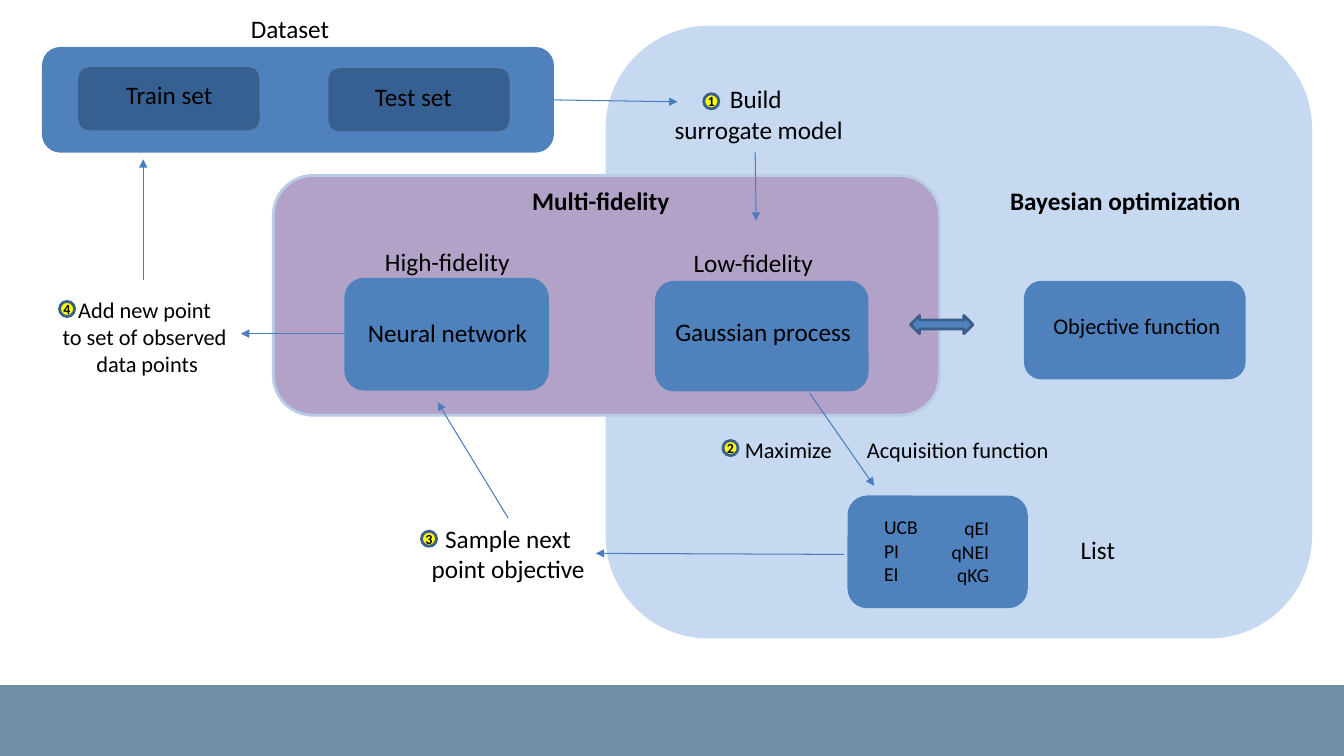
from lxml import etree
from pptx import Presentation
from pptx.dml.color import RGBColor
from pptx.enum.shapes import MSO_CONNECTOR, MSO_SHAPE
from pptx.enum.text import PP_ALIGN
from pptx.oxml.ns import qn
from pptx.util import Inches, Pt

ROUNDED = MSO_SHAPE.ROUNDED_RECTANGLE
RECTANGLE = MSO_SHAPE.RECTANGLE
CIRCLE = MSO_SHAPE.FLOWCHART_CONNECTOR
DOUBLE_ARROW = MSO_SHAPE.LEFT_RIGHT_ARROW
STRAIGHT = MSO_CONNECTOR.STRAIGHT
LEFT, CENTER, RIGHT = PP_ALIGN.LEFT, PP_ALIGN.CENTER, PP_ALIGN.RIGHT

BLUE = "4F81BD"
DARK_BLUE = "376092"
OUTLINE = "3A5F8C"
ARROW = "4B7EBC"
PALE_BLUE = "C6D9F1"
PURPLE = "B3A2C7"
PURPLE_EDGE = "B9CDE5"
YELLOW = "FFFF00"
FOOTER = "718FA4"
BLACK = "000000"


def color(value):
    return RGBColor.from_string(value)


def write_text(frame, text, size=18, bold=False, align=LEFT, font="Calibri"):
    for index, line in enumerate(text.split("\n")):
        paragraph = frame.add_paragraph() if index else frame.paragraphs[0]
        paragraph.alignment = align
        run = paragraph.add_run()
        run.text = line
        run.font.name = font
        run.font.size = Pt(size)
        run.font.bold = bold
        run.font.color.rgb = color(BLACK)


class Diagram:
    line_width = Pt(2)
    arrow_width = Pt(0.75)
    badge_size = 0.15

    def __init__(self, slide):
        self.slide = slide

    def box(self, left, top, width, height, fill=BLUE, line=None, kind=ROUNDED):
        shape = self.slide.shapes.add_shape(
            kind, Inches(left), Inches(top), Inches(width), Inches(height))
        shape.shadow.inherit = False
        shape.fill.solid()
        shape.fill.fore_color.rgb = color(fill)
        shape.line.color.rgb = color(line or fill)
        shape.line.width = self.line_width

    def label(self, left, top, width, height, text, wrap=False, **style):
        shape = self.slide.shapes.add_textbox(
            Inches(left), Inches(top), Inches(width), Inches(height))
        shape.text_frame.word_wrap = wrap
        write_text(shape.text_frame, text, **style)

    def badge(self, left, top, number):
        self.box(left, top, self.badge_size, self.badge_size, YELLOW, OUTLINE, CIRCLE)
        self.label(left - 0.06, top - 0.06, 0.72, 0.27, str(number),
                   wrap=True, size=10, bold=True)

    def arrow(self, start, end):
        connector = self.slide.shapes.add_connector(
            STRAIGHT, *(Inches(value) for value in (*start, *end)))
        connector.line.color.rgb = color(ARROW)
        connector.line.width = self.arrow_width
        properties = connector.line._get_or_add_ln()
        etree.SubElement(properties, qn("a:tailEnd"), type="triangle")
        etree.SubElement(connector._element.spPr, qn("a:effectLst"))


def draw_optimization(diagram):
    diagram.box(6.02, 0.27, 6.98, 6.05, PALE_BLUE)
    diagram.label(9.92, 1.79, 2.51, 0.4, "Bayesian optimization", bold=True)
    diagram.box(10.17, 2.8, 2.17, 0.95)
    diagram.label(10.35, 3.05, 1.88, 0.37, "Objective function", size=16)
    diagram.box(8.42, 4.93, 1.76, 1.09)
    diagram.label(8.67, 5.06, 0.54, 0.81, "UCB\nPI\nEI", size=14)
    diagram.label(9.33, 5.07, 0.58, 0.81, "qEI\nqNEI\nqKG", size=14, align=RIGHT)
    diagram.label(10.62, 5.25, 1.03, 0.4, "List", wrap=True)


def draw_dataset(diagram):
    diagram.box(0.43, 0.48, 5.05, 1.02)
    diagram.label(2.39, 0.08, 1.03, 0.4, "Dataset", wrap=True)
    diagram.box(0.79, 0.68, 1.77, 0.6, DARK_BLUE, OUTLINE)
    diagram.label(1.15, 0.74, 1.07, 0.4, "Train set")
    diagram.box(3.27, 0.69, 1.77, 0.6, DARK_BLUE, OUTLINE)
    diagram.label(3.62, 0.76, 0.97, 0.4, "Test set")


def draw_fidelity(diagram):
    diagram.box(2.71, 1.74, 6.61, 2.38, PURPLE, PURPLE_EDGE)
    diagram.label(5.18, 1.79, 1.58, 0.4, "Multi-fidelity", bold=True)
    diagram.box(3.43, 2.77, 2, 1.09)
    diagram.label(3.72, 2.39, 1.46, 0.4, "High-fidelity")
    diagram.label(3.55, 3.1, 1.8, 0.4, "Neural network")
    diagram.box(6.51, 2.8, 2.09, 1.07)
    diagram.label(6.78, 2.4, 1.41, 0.4, "Low-fidelity")
    diagram.label(6.6, 3.09, 1.96, 0.4, "Gaussian process")
    diagram.box(9.03, 3.13, 0.62, 0.18, BLUE, OUTLINE, DOUBLE_ARROW)


def draw_steps(diagram):
    diagram.label(6.58, 0.78, 1.89, 0.71, "Build \nsurrogate model", align=CENTER)
    diagram.label(7.29, 4.28, 1.07, 0.37, "Maximize", size=16)
    diagram.label(8.5, 4.28, 2.0, 0.37, "Acquisition function", size=16)
    diagram.label(4.17, 5.14, 1.74, 0.71, "Sample next\npoint objective", align=CENTER)
    diagram.label(0.51, 2.89, 1.9, 0.91,
                  "Add new point \nto set of observed \ndata points",
                  size=16, align=CENTER)

    badges = [(6.98, 0.93), (7.17, 4.37), (4.18, 5.27), (0.59, 2.99)]
    for number, (left, top) in enumerate(badges, start=1):
        diagram.badge(left, top, number)

    arrows = [
        ((5.41, 0.99), (6.72, 1.01)),
        ((7.49, 1.51), (7.5, 2.19)),
        ((8.03, 3.9), (8.67, 4.82)),
        ((8.37, 5.5), (5.91, 5.49)),
        ((5.04, 5.14), (4.34, 3.99)),
        ((3.57, 3.31), (2.39, 3.31)),
        ((1.42, 2.78), (1.42, 1.58)),
    ]
    for start, end in arrows:
        diagram.arrow(start, end)


def main():
    presentation = Presentation()
    presentation.slide_width = Inches(13.33)
    presentation.slide_height = Inches(7.5)
    slide = presentation.slides.add_slide(presentation.slide_layouts[6])
    diagram = Diagram(slide)
    diagram.box(0, 6.81, 13.33, 0.69, FOOTER, kind=RECTANGLE)
    draw_optimization(diagram)
    draw_dataset(diagram)
    draw_fidelity(diagram)
    draw_steps(diagram)
    presentation.save("out.pptx")


if __name__ == "__main__":
    main()
